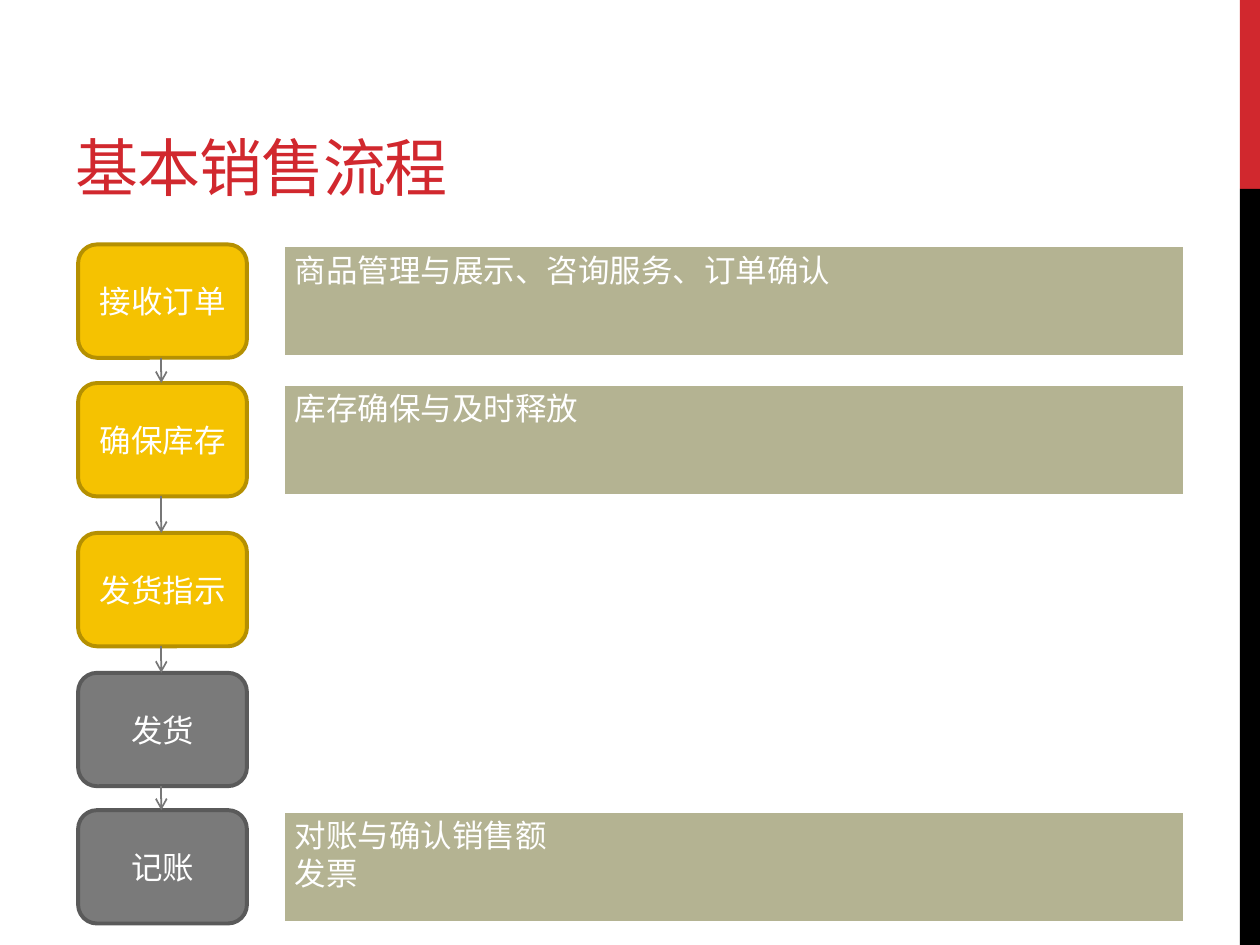
from dataclasses import dataclass
from itertools import pairwise

from lxml.etree import SubElement
from pptx import Presentation
from pptx.dml.color import RGBColor
from pptx.enum.shapes import MSO_CONNECTOR as Connector, MSO_SHAPE as Preset
from pptx.enum.text import MSO_ANCHOR as Anchor, PP_ALIGN as Align
from pptx.oxml.ns import qn
from pptx.util import Inches, Pt


@dataclass(frozen=True)
class Theme:
    red: str = "D1282E"
    black: str = "000000"
    white: str = "FFFFFF"
    gold: tuple = ("F5C201", "B59001")
    grey: tuple = ("7A7A7A", "5A5A5A")
    sand: tuple = ("B4B392", "FFFFFF")
    arrow: str = "777777"
    title_font: str = "Montserrat"
    body_font: str = "Arial"
    title_size: int = 36
    body_size: int = 18
    step_line: float = 2.25
    detail_line: float = 3.25
    arrow_line: float = 1


THEME = Theme()
WIDTH, HEIGHT = 10, 7.5

# Grid: columns as (left, width), one top for each row
STEP_COLUMN = (0.62, 1.34)
DETAIL_COLUMN = (2.24, 7.17)
ARROW_X = 1.28
ROW_TOPS = (1.94, 3.04, 4.23, 5.34, 6.43)
ROW_HEIGHT = 0.9

# Each step: name, colours, details
STEPS = (
    ("接收订单", THEME.gold, "商品管理与展示、咨询服务、订单确认"),
    ("确保库存", THEME.gold, "库存确保与及时释放"),
    ("发货指示", THEME.gold, ""),
    ("发货", THEME.grey, ""),
    ("记账", THEME.grey, "对账与确认销售额\n发票"),
)


def color(code):
    return RGBColor.from_string(code)


def write(box, text, font, size, code, align, anchor):
    frame = box.text_frame
    frame.word_wrap = True
    frame.vertical_anchor = anchor
    frame.text = text
    for para in frame.paragraphs:
        para.alignment = align
        for span in para.runs:
            span.font.name = font
            span.font.size = Pt(size)
            span.font.color.rgb = color(code)


def add_block(page, preset, left, top, width, height, fill, line=None, weight=0):
    block = page.shapes.add_shape(
        preset, *map(Inches, (left, top, width, height)))
    block.shadow.inherit = False
    block.fill.solid()
    block.fill.fore_color.rgb = color(fill)
    if line:
        block.line.color.rgb = color(line)
        block.line.width = Pt(weight)
    else:
        block.line.fill.background()
    return block


def add_side_bar(page):
    bar_width, red_share = 0.016 * WIDTH, 0.2
    left, split = WIDTH - bar_width, red_share * HEIGHT
    add_block(page, Preset.RECTANGLE, left, 0, bar_width, split, THEME.red)
    add_block(page, Preset.RECTANGLE, left, split, bar_width,
              HEIGHT - split, THEME.black)


def add_title(page, text):
    box = page.shapes.add_textbox(*map(Inches, (0.5, 0.17, 6.33, 1.5)))
    write(box, text, THEME.title_font, THEME.title_size, THEME.red,
          Align.LEFT, Anchor.BOTTOM)
    span = box.text_frame.paragraphs[0].runs[0]
    span.font._element.set("spc", "-60")  # letter spacing, 1/100 pt


def add_step(page, top, name, colors):
    left, width = STEP_COLUMN
    box = add_block(page, Preset.ROUNDED_RECTANGLE, left, top, width,
                    ROW_HEIGHT, *colors, THEME.step_line)
    write(box, name, THEME.body_font, THEME.body_size, THEME.white,
          Align.CENTER, Anchor.MIDDLE)


def add_detail(page, top, text):
    left, width = DETAIL_COLUMN
    box = add_block(page, Preset.RECTANGLE, left, top, width,
                    ROW_HEIGHT, *THEME.sand, THEME.detail_line)
    write(box, text, THEME.body_font, THEME.body_size, THEME.white,
          Align.LEFT, Anchor.TOP)


def add_arrow(page, start, end):
    arrow = page.shapes.add_connector(
        Connector.STRAIGHT, *map(Inches, (ARROW_X, start, ARROW_X, end)))
    arrow.line.color.rgb = color(THEME.arrow)
    arrow.line.width = Pt(THEME.arrow_line)
    SubElement(arrow.line._get_or_add_ln(), qn("a:tailEnd"), type="arrow")
    SubElement(arrow._element.spPr, qn("a:effectLst"))


def main():
    deck = Presentation()
    deck.slide_width, deck.slide_height = Inches(WIDTH), Inches(HEIGHT)
    page = deck.slides.add_slide(deck.slide_layouts[6])

    # Frame and heading
    add_side_bar(page)
    add_title(page, "基本销售流程")

    # Steps with their details
    for top, (name, colors, detail) in zip(ROW_TOPS, STEPS):
        add_step(page, top, name, colors)
        if detail:
            add_detail(page, top, detail)

    # Arrows across the gaps between steps
    for upper, lower in pairwise(ROW_TOPS):
        add_arrow(page, upper + ROW_HEIGHT, lower)

    deck.save("out.pptx")


if __name__ == "__main__":
    main()
